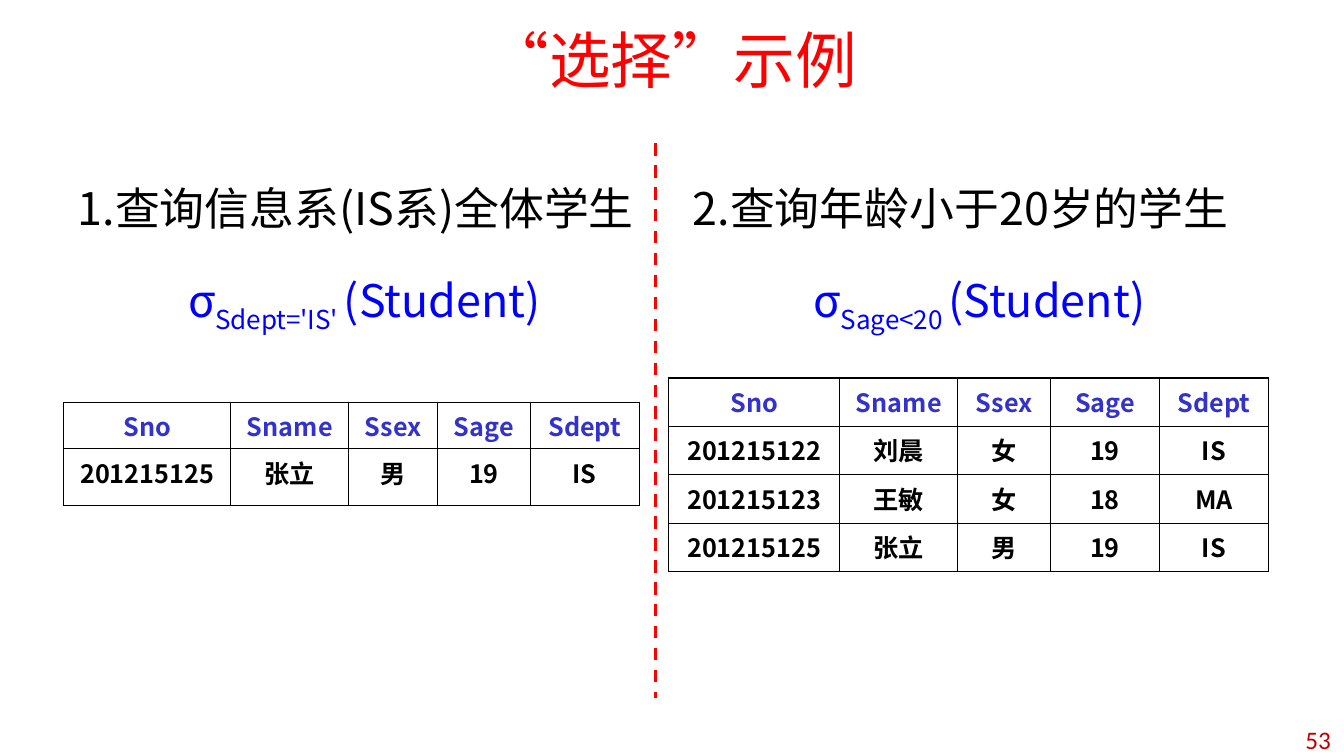
from lxml.etree import SubElement
from pptx import Presentation
from pptx.dml.color import RGBColor
from pptx.enum.dml import MSO_LINE
from pptx.enum.shapes import MSO_CONNECTOR
from pptx.enum.text import MSO_ANCHOR, MSO_AUTO_SIZE, PP_ALIGN
from pptx.oxml import parse_xml
from pptx.oxml.ns import nsdecls, qn
from pptx.util import Inches, Pt

CJK = "Noto Sans CJK SC"


def add_span(para, text, color, size, name=CJK, bold=False, baseline=0):
    span = para.add_run()
    span.text = text
    formats = {"size": Pt(size), "name": name, "bold": bold}
    for key, value in formats.items():
        setattr(span.font, key, value)
    span.font.color.rgb = RGBColor.from_string(color)
    properties = span._r.get_or_add_rPr()
    properties.set("lang", "zh-CN")
    SubElement(properties, qn("a:ea")).set("typeface", name)
    if baseline:
        properties.set("baseline", str(baseline))


def set_frame(box, left, top, width, height, anchor, align):
    """Place a text shape and return its first paragraph."""
    bounds = {"left": left, "top": top, "width": width, "height": height}
    for key, value in bounds.items():
        setattr(box, key, Inches(value))
    frame = box.text_frame
    formats = {"word_wrap": True, "auto_size": MSO_AUTO_SIZE.NONE,
               "vertical_anchor": anchor}
    for key, value in formats.items():
        setattr(frame, key, value)
    para = frame.paragraphs[0]
    para.alignment = align
    para.space_before = Pt(0)
    return para


deck = Presentation()
deck.slide_width = Inches(13.33)
deck.slide_height = Inches(7.5)
page = deck.slides.add_slide(deck.slide_layouts.get_by_name("Comparison"))
holders = {holder.placeholder_format.idx: holder for holder in page.placeholders}

title = set_frame(holders[0], 0.67, 0.08, 12, 1.01, MSO_ANCHOR.MIDDLE, PP_ALIGN.CENTER)
add_span(title, "“选择”示例", "FF0000", 44)

# Each half: heading, selection formula and result table
header = ["Sno", "Sname", "Ssex", "Sage", "Sdept"]
halves = [
    {
        "left": 0.67, "heading": "1.查询信息系(IS系)全体学生", "heading_top": 1.68,
        "spacing": 1.0, "condition": "Sdept='IS' ", "table_at": (0.63, 3.99),
        "columns": [1.66, 1.17, 0.88, 0.92, 1.08], "heights": [0.32, 0.56],
        "students": [["201215125", "张立", "男", "19", "IS"]],
    },
    {
        "left": 6.77, "heading": "2.查询年龄小于20岁的学生", "heading_top": 1.59,
        "spacing": 1.4, "condition": "Sage<20 ", "table_at": (6.63, 3.75),
        "columns": [1.7, 1.17, 0.92, 1.08, 1.08], "heights": [0.48] * 4,
        "students": [
            ["201215122", "刘晨", "女", "19", "IS"],
            ["201215123", "王敏", "女", "18", "MA"],
            ["201215125", "张立", "男", "19", "IS"],
        ],
    },
]
body_top = 2.38
for number, half in enumerate(halves):
    heading_box, formula_box = holders[1 + 2 * number], holders[2 + 2 * number]
    heading = set_frame(heading_box, half["left"], half["heading_top"], 5.89,
                        body_top - half["heading_top"], MSO_ANCHOR.BOTTOM, PP_ALIGN.LEFT)
    heading.line_spacing = half["spacing"]
    add_span(heading, half["heading"], "000000", 32)

    formula = set_frame(formula_box, half["left"], body_top, 5.89, 4.32,
                        MSO_ANCHOR.TOP, PP_ALIGN.CENTER)
    formula_box.text_frame.margin_top = Inches(0.33)
    properties = formula._p.get_or_add_pPr()
    properties.set("marL", "0")
    properties.set("indent", "0")
    SubElement(properties, qn("a:buNone"))
    for text, baseline in [("σ", 0), (half["condition"], -25000), ("(Student)", 0)]:
        add_span(formula, text, "0000FF", 32, baseline=baseline)

    rows = [header] + half["students"]
    left, top = half["table_at"]
    table = page.shapes.add_table(
        len(rows), len(header), Inches(left), Inches(top),
        Inches(sum(half["columns"])), Inches(sum(half["heights"]))).table
    for column, width in zip(table.columns, half["columns"]):
        column.width = Inches(width)
    for row, height in zip(table.rows, half["heights"]):
        row.height = Inches(height)
    for r, row in enumerate(rows):
        for c, text in enumerate(row):
            cell = table.cell(r, c)
            cell.fill.background()
            cell.margin_left = cell.margin_right = Inches(0.13)
            para = cell.text_frame.paragraphs[0]
            para.alignment = PP_ALIGN.CENTER
            add_span(para, text, "000000" if r else "3333CC", 18, bold=True)
            for position, side in enumerate("LRTB"):
                cell._tc.get_or_add_tcPr().insert(position, parse_xml(
                    f'<a:ln{side} {nsdecls("a")} w="12700"><a:solidFill>'
                    f'<a:srgbClr val="000000"/></a:solidFill></a:ln{side}>'))

divider = page.shapes.add_connector(
    MSO_CONNECTOR.STRAIGHT, Inches(6.5), Inches(1.42), Inches(6.5), Inches(6.92))
divider.line.color.rgb = RGBColor.from_string("FF0000")
divider.line.width = Pt(2.25)
divider.line.dash_style = MSO_LINE.DASH
SubElement(divider._element.spPr, qn("a:effectLst"))

number_box = page.shapes.add_textbox(0, 0, 0, 0)
page_number = set_frame(number_box, 10.19, 7.2, 3.11, 0.27,
                        MSO_ANCHOR.MIDDLE, PP_ALIGN.RIGHT)
add_span(page_number, "53", "C00000", 18, name="Calibri")

deck.save("out.pptx")
